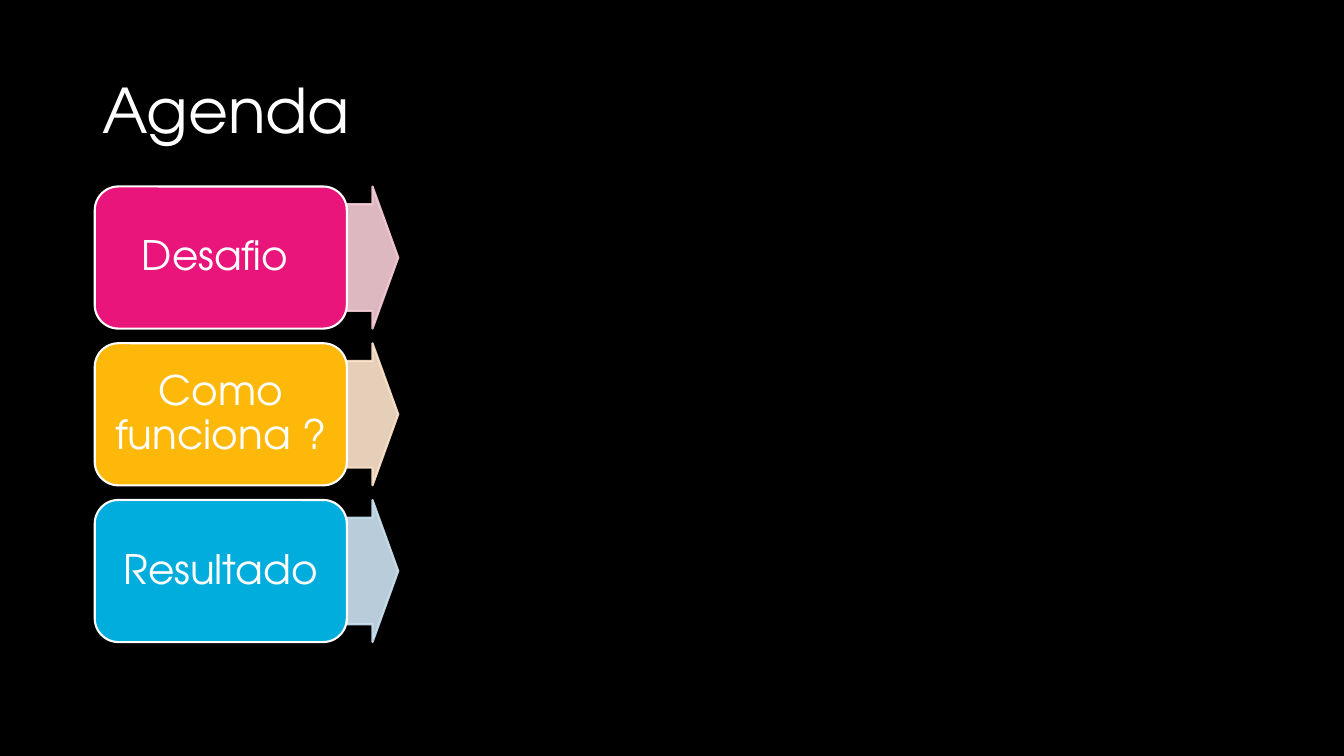
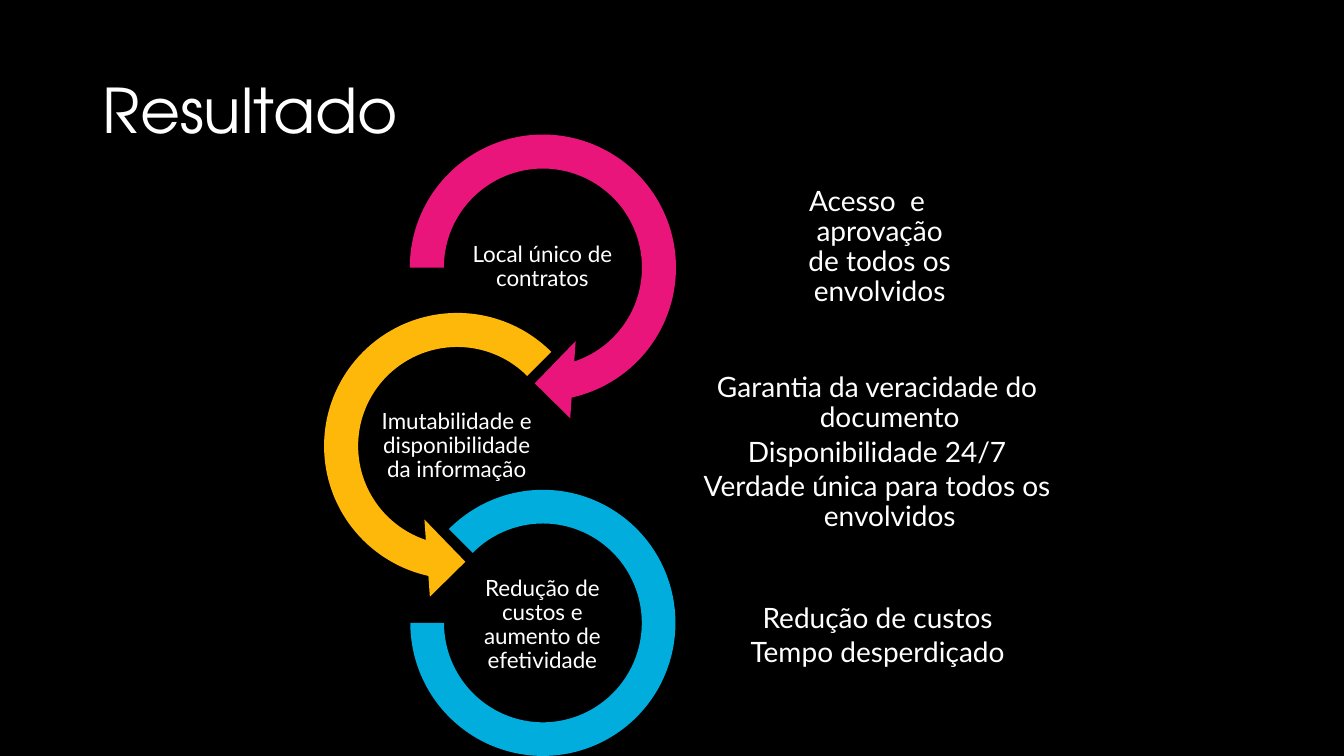
from lxml import etree
from pptx import Presentation
from pptx.dml.color import RGBColor
from pptx.enum.shapes import MSO_SHAPE as Preset
from pptx.enum.text import MSO_ANCHOR as Anchor, PP_ALIGN as Align
from pptx.oxml.ns import qn
from pptx.util import Inches, Pt

BLACK, WHITE = "000000", "FFFFFF"
PINK, AMBER, BLUE = "EA157A", "FEB80A", "00ADDC"
TITLE_FONT, BODY_FONT = "TeX Gyre Adventor", "Lato"
TITLE_AREA = (0.92, 0.4, 11.5, 1.45)
TIGHT = (0.01, 0.01, 0.01, 0.01)

# text, block colour, arrow colour
AGENDA = [
    ("Desafio ", PINK, "F7CCD7"),
    ("Como funciona ?", AMBER, "FFE6CC"),
    ("Resultado", BLUE, "CCE3F2"),
]
AGENDA_LEFT, AGENDA_TOP, AGENDA_PITCH = 0.94, 1.85, 1.555
BLOCK_WIDTH, BLOCK_HEIGHT, ARROW_WIDTH = 2.5, 1.41, 0.51

# label, label left, colour, preset, area, adjustments
RINGS = [
    ("Local único de contratos", 4.53, PINK, Preset.CIRCULAR_ARROW,
     (3.85, 1.12, 3.07, 3.07), (0.11, 11.423, 45, 108, 0.125)),
    ("Imutabilidade e disponibilidade da informação", 3.68, AMBER,
     Preset.LEFT_CIRCULAR_ARROW,
     (3, 2.89, 3.07, 3.07), (0.11, 11.423, 63, 189, 0.125)),
    ("Redução de custos e aumento de efetividade", 4.53, BLUE, Preset.BLOCK_ARC,
     (4.07, 4.86, 2.63, 2.64), (135, 108, 0.127)),
]
LABEL_TOP, LABEL_PITCH, LABEL_WIDTH, LABEL_HEIGHT = 2.23, 1.775, 1.7, 0.85

# paragraphs, area, insets
BENEFITS = [
    (["Acesso  e aprovação de todos os envolvidos"],
     (7.68, 1.84, 1.84, 1.23), TIGHT),
    (["Garantia da veracidade do documento", "Disponibilidade 24/7",
      "Verdade única para todos os envolvidos"],
     (6.87, 3.88, 3.66, 1.23), TIGHT),
    (["Redução de custos", "Tempo desperdiçado"],
     (7.27, 5.88, 2.87, 1.21), (0.01, 0.01, 0.01, 0.35)),
]


def color(code):
    """Turn a hex string into a colour."""
    return RGBColor.from_string(code)


def inches(values):
    """Turn numbers into lengths."""
    return [Inches(value) for value in values]


def write(shape, lines, size, font=BODY_FONT, align=Align.CENTER,
          insets=(0.1, 0.05, 0.1, 0.05), gap=0, hanging=0):
    """Write white paragraphs into a shape, centred vertically."""
    frame = shape.text_frame
    frame.word_wrap = True
    frame.vertical_anchor = Anchor.MIDDLE
    (frame.margin_left, frame.margin_top,
     frame.margin_right, frame.margin_bottom) = inches(insets)
    for index, line in enumerate(lines):
        para = frame.add_paragraph() if index else frame.paragraphs[0]
        para.alignment, para.line_spacing = align, 0.9
        para.space_after = Pt(gap)
        if hanging:
            properties = para._p.get_or_add_pPr()
            properties.set("marL", str(Inches(hanging)))
            properties.set("indent", str(-Inches(hanging)))
        span = para.add_run()
        span.text = line
        span.font.name, span.font.size = font, Pt(size)
        span.font.color.rgb = color(WHITE)


def add_text(page, area, lines, size, **format):
    """Add a text box."""
    box = page.shapes.add_textbox(*inches(area))
    write(box, lines, size, **format)


def add_figure(page, preset, area, fill, line=None, adjustments=(), opacity=100):
    """Add a flat preset shape, outlined if a line colour is given."""
    shape = page.shapes.add_shape(preset, *inches(area))
    shape.shadow.inherit = False
    for index, value in enumerate(adjustments):
        shape.adjustments[index] = value
    shape.fill.solid()
    shape.fill.fore_color.rgb = color(fill)
    if line:
        shape.line.color.rgb = color(line)
        shape.line.width = Pt(1.5)
    else:
        shape.line.fill.background()
    if opacity < 100:
        for tint in shape._element.spPr.iter(qn("a:srgbClr")):
            etree.SubElement(tint, qn("a:alpha")).set("val", str(opacity * 1000))
    return shape


def add_page(deck, title):
    """Add a slide with its title."""
    page = deck.slides.add_slide(deck.slide_layouts[6])
    add_text(page, TITLE_AREA, [title], 44, font=TITLE_FONT, align=Align.LEFT)
    return page


def build_agenda(deck):
    """Stack the agenda blocks, each with an arrow to its right."""
    page = add_page(deck, "Agenda")
    for row, (text, fill, pale) in enumerate(AGENDA):
        top = AGENDA_TOP + row * AGENDA_PITCH
        add_figure(page, Preset.RIGHT_ARROW,
                   (AGENDA_LEFT + BLOCK_WIDTH, top, ARROW_WIDTH, BLOCK_HEIGHT),
                   pale, line=pale, adjustments=(0.75, 0.5), opacity=90)
        block = add_figure(page, Preset.ROUNDED_RECTANGLE,
                           (AGENDA_LEFT, top, BLOCK_WIDTH, BLOCK_HEIGHT),
                           fill, line=WHITE)
        write(block, [text], 29, font=TITLE_FONT, insets=(0.12, 0.06, 0.12, 0.06))


def build_result(deck):
    """Chain the three rings and list the benefits beside them."""
    page = add_page(deck, "Resultado")
    for row, (label, left, fill, preset, area, adjustments) in enumerate(RINGS):
        add_figure(page, preset, area, fill, adjustments=adjustments)
        top = LABEL_TOP + row * LABEL_PITCH
        add_text(page, (left, top, LABEL_WIDTH, LABEL_HEIGHT), [label], 16,
                 insets=TIGHT)
    for lines, area, insets in BENEFITS:
        add_text(page, area, lines, 20, insets=insets, gap=3, hanging=0.25)


deck = Presentation()
deck.slide_width, deck.slide_height = Inches(13.33), Inches(7.5)
backdrop = deck.slide_master.background.fill
backdrop.solid()
backdrop.fore_color.rgb = color(BLACK)
build_agenda(deck)
build_result(deck)
deck.save("out.pptx")
